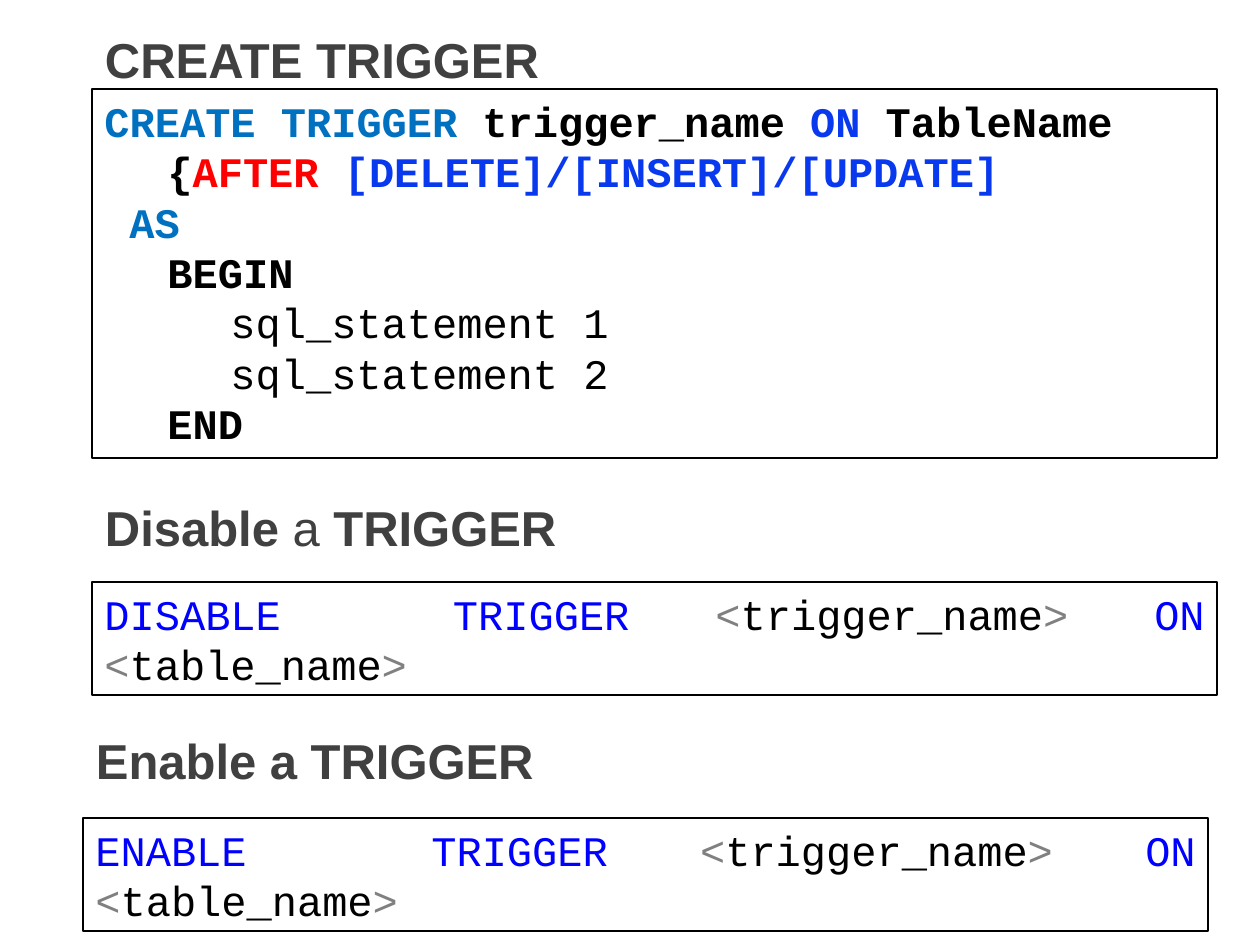
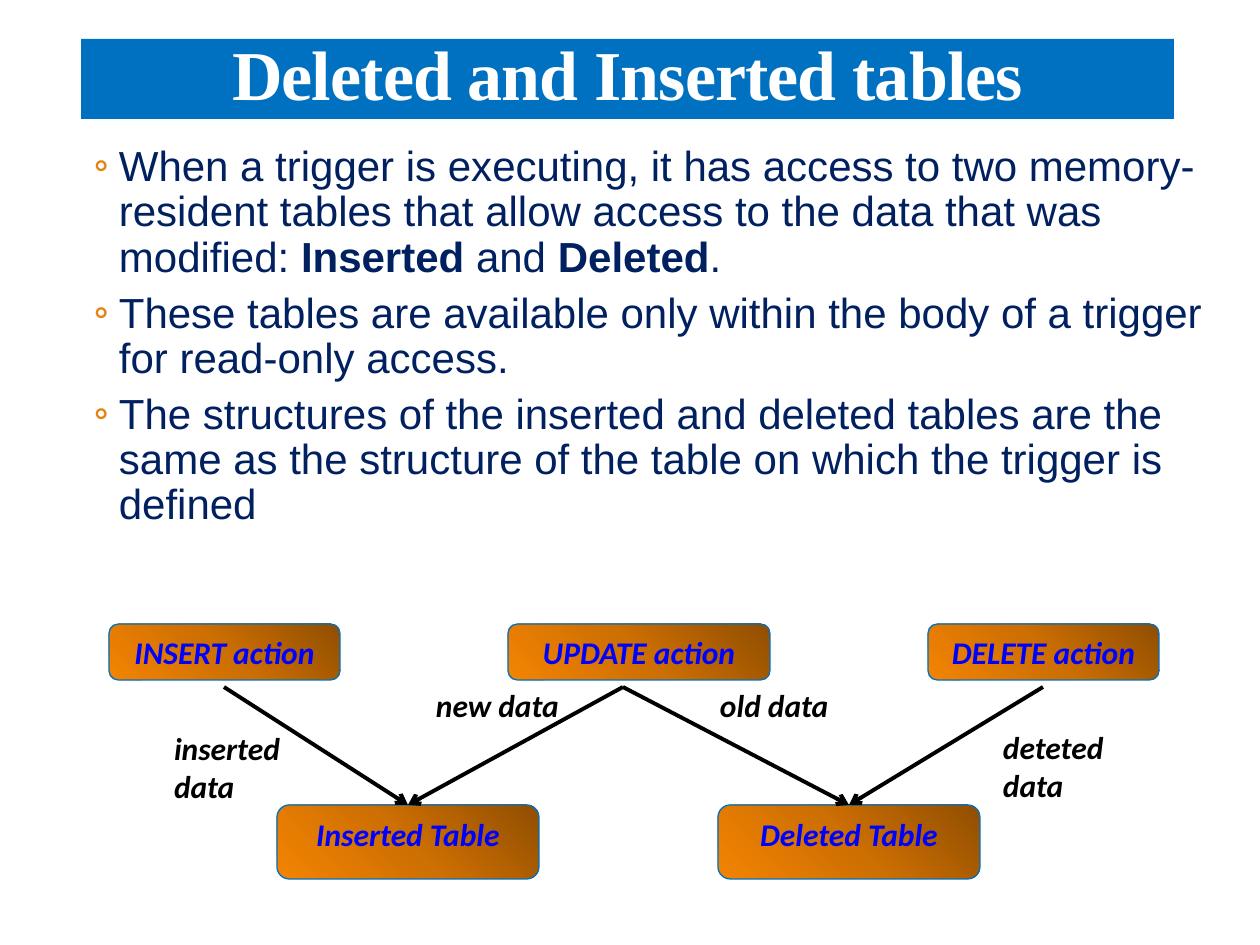
"""Build two slides on SQL triggers: their syntax and the tables they read."""
import lxml.etree
import pptx
import pptx.dml.color
import pptx.enum.shapes
import pptx.enum.text
import pptx.oxml.ns
import pptx.util

RGBColor = pptx.dml.color.RGBColor
SHAPE = pptx.enum.shapes.MSO_SHAPE
ALIGN = pptx.enum.text.PP_ALIGN
ANCHOR = pptx.enum.text.MSO_ANCHOR

PX_PER_INCH = 126
BLACK = RGBColor(0x00, 0x00, 0x00)
WHITE = RGBColor(0xFF, 0xFF, 0xFF)
BLUE = RGBColor(0x00, 0x70, 0xC0)
NAVY = RGBColor(0x00, 0x20, 0x60)
CLAUSE_BLUE = RGBColor(0x08, 0x39, 0xEE)
KEYWORD_BLUE = RGBColor(0x00, 0x00, 0xFF)
RED = RGBColor(0xFF, 0x00, 0x00)
GRAY = RGBColor(0x80, 0x80, 0x80)
HEADING_GRAY = RGBColor(0x40, 0x40, 0x40)
BULLET_ORANGE = RGBColor(0xE4, 0x83, 0x12)
GLOW_STOPS = [
    (0, RGBColor(0x90, 0x4E, 0x01)),
    (50, RGBColor(0xCD, 0x6F, 0x02)),
    (100, RGBColor(0xF4, 0x84, 0x02)),
]

CREATE_LINES = [
    (0, [("CREATE TRIGGER ", BLUE, True), ("trigger_name ", BLACK, True),
         ("ON ", CLAUSE_BLUE, True), ("TableName", BLACK, True)]),
    (63, [("{", BLACK, True), ("AFTER ", RED, True),
          ("[DELETE]/[INSERT]/[UPDATE]", CLAUSE_BLUE, True)]),
    (25, [("AS", BLUE, True)]),
    (63, [("BEGIN", BLACK, True)]),
    (126, [("sql_statement 1", BLACK, False)]),
    (126, [("sql_statement 2", BLACK, False)]),
    (63, [("END", BLACK, True)]),
]
BULLETS = [
    [("When a trigger is executing, it has access to two memory-resident tables "
      "that allow access to the data that was modified: ", NAVY, False),
     ("Inserted", NAVY, True), (" and ", NAVY, False),
     ("Deleted", NAVY, True), (".", NAVY, False)],
    [("These tables are available only within the body of a trigger "
      "for read-only access.", NAVY, False)],
    [("The structures of the inserted and deleted tables are the same as the "
      "structure of the table on which the trigger is defined", NAVY, False)],
]


def px(length):
    """Turn pixels into EMU."""
    return pptx.util.Emu(round(length * 914400 / PX_PER_INCH))


def add_child(parent, tag, **attributes):
    """Append a drawing element with its attributes."""
    return lxml.etree.SubElement(parent, pptx.oxml.ns.qn(tag), attributes)


def add_spans(para, spans, font, size, italic=False):
    """Write (text, colour, bold) runs into a paragraph."""
    for text, color, bold in spans:
        span = para.add_run()
        span.text = text
        span.font.name = font
        span.font.size = pptx.util.Pt(size)
        span.font.bold = bold
        span.font.italic = italic
        span.font.color.rgb = color


def add_paragraph(frame, index):
    """Return the first paragraph, or a new one after it."""
    return frame.add_paragraph() if index else frame.paragraphs[0]


def add_textbox(slide, place, side_inset=13):
    """Add a wrapping text box and return its frame."""
    frame = slide.shapes.add_textbox(*map(px, place)).text_frame
    frame.word_wrap = True
    frame.margin_left = frame.margin_right = px(side_inset)
    return frame


def add_box(slide, kind, place, line=None, width=0, anchor=ANCHOR.TOP):
    """Add a flat unfilled shape."""
    box = slide.shapes.add_shape(kind, *map(px, place))
    box.shadow.inherit = False
    box.fill.background()
    if line is None:
        box.line.fill.background()
    else:
        box.line.color.rgb = line
        box.line.width = pptx.util.Pt(width)
    box.text_frame.word_wrap = True
    box.text_frame.vertical_anchor = anchor
    return box


def add_heading(slide, left, top, spans):
    """Add a section heading above a code box."""
    para = add_textbox(slide, (left, top, 1094, 59), 0).paragraphs[0]
    para.line_spacing = 0.9
    para._p.get_or_add_pPr().set("marL", str(px(13)))
    add_spans(para, [(text, HEADING_GRAY, bold) for text, bold in spans], "Arial", 28)


def add_create_box(slide):
    """Add the framed CREATE TRIGGER syntax."""
    frame = add_box(slide, SHAPE.RECTANGLE, (92, 89, 1125, 369), BLACK).text_frame
    for index, (indent, spans) in enumerate(CREATE_LINES):
        para = add_paragraph(frame, index)
        para.alignment = ALIGN.LEFT
        para._p.get_or_add_pPr().set("marL", str(px(indent)))
        add_spans(para, spans, "Courier New", 24)


def add_switch_box(slide, left, top, command):
    """Add the framed one-line syntax that turns a trigger on or off."""
    box = add_box(slide, SHAPE.RECTANGLE, (left, top, 1125, 113), BLACK, 1.5, ANCHOR.MIDDLE)
    para = box.text_frame.paragraphs[0]
    para.alignment = ALIGN.JUSTIFY
    parts = [(f"{command}  TRIGGER ", KEYWORD_BLUE), ("<", GRAY), ("trigger_name", BLACK),
             ("> ", GRAY), ("ON ", KEYWORD_BLUE), ("<", GRAY), ("table_name", BLACK), (">", GRAY)]
    add_spans(para, [(text, color, False) for text, color in parts], "Courier New", 24)


def add_title_band(slide, text):
    """Add the blue title band."""
    box = add_box(slide, SHAPE.RECTANGLE, (81, 39, 1093, 80), anchor=ANCHOR.MIDDLE)
    box.fill.solid()
    box.fill.fore_color.rgb = BLUE
    para = box.text_frame.paragraphs[0]
    para.alignment = ALIGN.CENTER
    para.line_spacing = 0.85
    add_spans(para, [(text, WHITE, True)], "Times New Roman", 40)
    para.runs[0].font._element.set("spc", "-50")


def add_bullets(slide, place, items):
    """Add the bulleted list."""
    frame = add_textbox(slide, place, 0)
    for index, spans in enumerate(items):
        para = add_paragraph(frame, index)
        para.line_spacing = 0.9
        para.space_before = pptx.util.Pt(2)
        para.space_after = pptx.util.Pt(4)
        properties = para._p.get_or_add_pPr()
        properties.set("marL", str(px(53)))
        properties.set("indent", str(px(-25)))
        add_child(add_child(properties, "a:buClr"), "a:srgbClr", val=str(BULLET_ORANGE))
        add_child(properties, "a:buFont", typeface="Calibri")
        add_child(properties, "a:buChar", char="◦")
        add_spans(para, spans, "Arial", 24)


def fill_with_glow(box):
    """Fill a shape with an orange gradient that is darkest at the top right."""
    properties = box._element.spPr
    properties.remove(properties.find(pptx.oxml.ns.qn("a:noFill")))
    gradient = add_child(properties, "a:gradFill", rotWithShape="1")
    stops = add_child(gradient, "a:gsLst")
    for position, color in GLOW_STOPS:
        stop = add_child(stops, "a:gs", pos=str(position * 1000))
        add_child(stop, "a:srgbClr", val=str(color))
    circle = add_child(gradient, "a:path", path="circle")
    add_child(circle, "a:fillToRect", l="100000", b="100000")
    properties.find(pptx.oxml.ns.qn("a:prstGeom")).addnext(gradient)


def add_node(slide, place, text):
    """Add a rounded node of the diagram."""
    box = add_box(slide, SHAPE.ROUNDED_RECTANGLE, place, BLUE, 0.75)
    fill_with_glow(box)
    para = box.text_frame.paragraphs[0]
    para.alignment = ALIGN.CENTER
    add_spans(para, [(text, KEYWORD_BLUE, True)], "Calibri", 18, italic=True)


def add_label(slide, left, top, height, text):
    """Add a label beside an arrow."""
    para = add_textbox(slide, (left, top, 158, height)).paragraphs[0]
    add_spans(para, [(text, BLACK, True)], "Calibri", 18, italic=True)


def add_arrow(slide, start, end):
    """Add an arrow from an action down to a table."""
    arrow = slide.shapes.add_connector(
        pptx.enum.shapes.MSO_CONNECTOR.STRAIGHT, *map(px, (*start, *end)))
    arrow.line.color.rgb = BLACK
    arrow.line.width = pptx.util.Pt(2.25)
    add_child(arrow.line._get_or_add_ln(), "a:tailEnd", type="arrow")
    add_child(arrow._element.spPr, "a:effectLst")


def build_syntax_slide(slide):
    """Fill the slide on creating, disabling and enabling triggers."""
    add_heading(slide, 92, 30, [("CREATE TRIGGER", True)])
    add_create_box(slide)
    add_heading(slide, 92, 498, [("Disable ", True), ("a ", False), ("TRIGGER", True)])
    add_switch_box(slide, 92, 582, "DISABLE")
    add_heading(slide, 83, 731, [("Enable a TRIGGER", True)])
    add_switch_box(slide, 83, 818, "ENABLE")


def build_tables_slide(slide):
    """Fill the slide on the Inserted and Deleted tables."""
    add_bullets(slide, (66, 139, 1148, 470), BULLETS)
    add_title_band(slide, "Deleted and Inserted tables")
    inserted, deleted = 408, 849
    insert, update, delete = 224, 623, 1043
    for center, text in ((inserted, "Inserted Table"), (deleted, "Deleted Table")):
        add_node(slide, (center - 131, 805, 262, 74), text)
    for action, table in ((insert, inserted), (update, deleted),
                          (update, inserted), (delete, deleted)):
        add_arrow(slide, (action, 687), (table, 805))
    for center, width, text in ((insert, 231, "INSERT action"),
                                (update + 16, 262, "UPDATE action"),
                                (delete, 231, "DELETE action")):
        add_node(slide, (center - width // 2, 624, width, 56), text)
    add_label(slide, 161, 723, 89, "inserted data")
    add_label(slide, 423, 680, 50, "new data")
    add_label(slide, 707, 680, 50, "old data")
    add_label(slide, 990, 722, 89, "deteted data")


def main():
    """Build the deck and save it."""
    deck = pptx.Presentation()
    deck.slide_width, deck.slide_height = px(1260), px(945)
    for build in (build_syntax_slide, build_tables_slide):
        build(deck.slides.add_slide(deck.slide_layouts[6]))
    deck.save("out.pptx")


if __name__ == "__main__":
    main()
